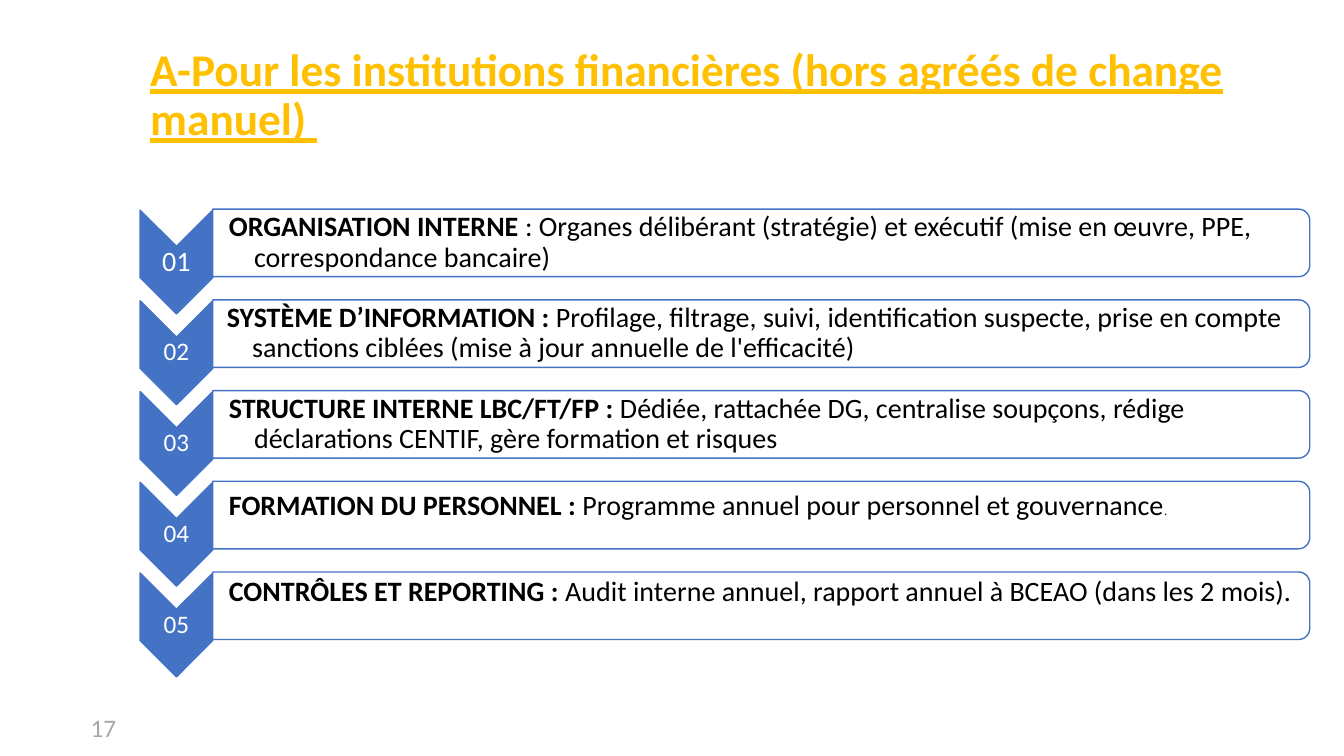
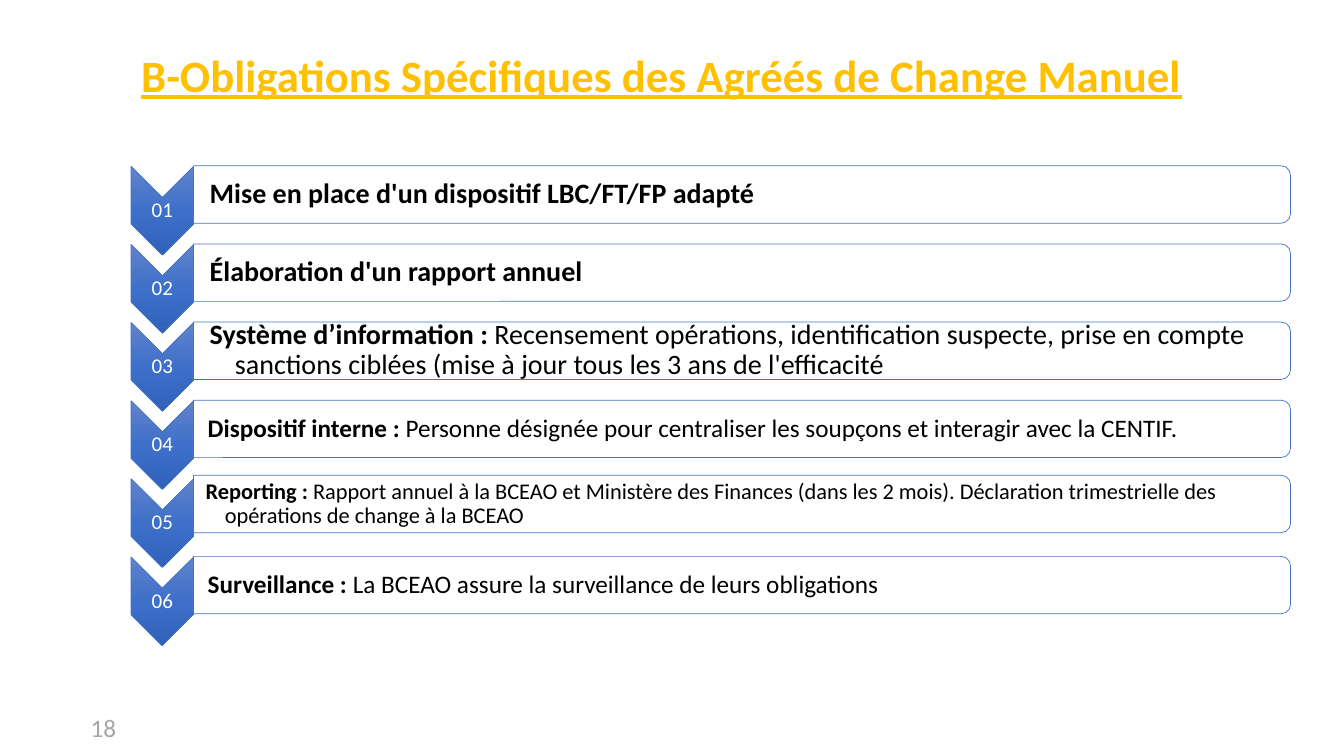
"""Build two slides of numbered duties for financial institutions and money changers."""
from lxml import etree
from pptx import Presentation
from pptx.dml.color import RGBColor
from pptx.enum.shapes import MSO_SHAPE
from pptx.enum.text import MSO_ANCHOR, MSO_AUTO_SIZE, PP_ALIGN
from pptx.oxml import parse_xml
from pptx.util import Inches, Pt

CHEVRON = MSO_SHAPE.CHEVRON
ROUND = MSO_SHAPE.ROUND_2_SAME_RECTANGLE
MIDDLE = MSO_ANCHOR.MIDDLE
LEFT, CENTER = PP_ALIGN.LEFT, PP_ALIGN.CENTER
FIXED = MSO_AUTO_SIZE.NONE

GOLD, BLUE, WHITE, BLACK, GREY = "FFC000", "4472C4", "FFFFFF", "000000", "A6A6A6"
FADE = ((0, "6183CB"), (50, "3E70CA"), (100, "3062BB"))
SPACE = "http://schemas.openxmlformats.org/drawingml/2006/main"
WIDE = 10.88
PAD = 0.01

DECK = [
    {
        "title": "A-Pour les institutions financières (hors agréés de change manuel) ",
        "size": 32.4, "place": (1.39, 0.62, 11.5, 0.68), "page": "17",
        "left": 1.39, "mid": 2.41, "step": 0.9, "drop": 0.19,
        "mark": (1.03, 0.72), "bar": 0.67, "line": 1, "fade": False,
        "nums": (20, 18, 18, 18, 18),
        "rows": [
            (("ORGANISATION INTERNE ", ": Organes délibérant (stratégie) et exécutif (mise en œuvre, PPE, correspondance bancaire)"), 20, 0.16, 0, 0),
            (("SYSTÈME D’INFORMATION :", " Profilage, filtrage, suivi, identification suspecte, prise en compte sanctions ciblées (mise à jour annuelle de l'efficacité)"), 20, 0.14, 0, 0),
            (("STRUCTURE INTERNE LBC/FT/FP :", " Dédiée, rattachée DG, centralise soupçons, rédige déclarations CENTIF, gère formation et risques"), 20, 0.16, 0, 0),
            (("FORMATION DU PERSONNEL :", " Programme annuel pour personnel et gouvernance", "."), 20, 0.16, 0.18, 0),
            (("CONTRÔLES ET REPORTING :", " Audit interne annuel, rapport annuel à BCEAO (dans les 2 mois)."), 20, 0.16, 0.27, 0),
        ],
    },
    {
        "title": "B-Obligations Spécifiques des Agréés de Change Manuel",
        "size": 32, "place": (1.3, 0.05, 11.5, 1.45), "page": "18",
        "left": 1.3, "mid": 1.93, "step": 0.775, "drop": 0.16,
        "mark": (0.88, 0.62), "bar": 0.57, "line": 0.5, "fade": True,
        "nums": (15,) * 6,
        "rows": [
            (("Mise en place d'un dispositif LBC/FT/FP adapté",), 20, 0.16, 0, 0),
            (("Élaboration d'un rapport annuel",), 20, 0.16, 0, 0),
            (("Système d’information :", " Recensement opérations, identification suspecte, prise en compte sanctions ciblées (mise à jour tous les 3 ans de l'efficacité"), 20, 0.16, 0, 0),
            (("Dispositif interne :", " Personne désignée pour centraliser les soupçons et interagir avec la CENTIF."), 18, 0.14, 0, 0),
            (("Reporting :", " Rapport annuel à la BCEAO et Ministère des Finances (dans les 2 mois). Déclaration trimestrielle des opérations de change à la BCEAO"), 16, 0.12, 0, -0.03),
            (("Surveillance :", " La BCEAO assure la surveillance de leurs obligations"), 18, 0.14, 0, 0),
        ],
    },
]


def rgb(code):
    """Turn a hex string into a colour."""
    return RGBColor.from_string(code)


def style(box, size, code, align=LEFT, pads=None):
    """Format the one paragraph of a box and return it."""
    frame = box.text_frame
    frame.word_wrap = True
    frame.auto_size = FIXED
    frame.vertical_anchor = MIDDLE
    if pads:
        frame.margin_left, frame.margin_top, frame.margin_right, frame.margin_bottom = map(Inches, pads)
    para = frame.paragraphs[0]
    para.alignment = align
    para.line_spacing = 0.9
    para.font.name = "Calibri"
    para.font.size = Pt(size)
    para.font.color.rgb = rgb(code)
    return para


prs = Presentation()
prs.slide_width, prs.slide_height = Inches(13.33), Inches(7.5)

for part in DECK:
    slide = prs.slides.add_slide(prs.slide_layouts[5])
    shapes = slide.shapes
    title = shapes.title
    title.left, title.top, title.width, title.height = map(Inches, part["place"])
    title.text = part["title"]
    font = style(title, part["size"], GOLD).font
    font.bold = font.underline = True

    tall, thick = part["mark"]
    high = part["bar"]
    edge = part["left"] + thick
    for row, (texts, size, inset, foot, shift) in enumerate(part["rows"]):
        mid = part["mid"] + row * part["step"]
        low = mid + part["drop"]
        level = mid + shift

        mark = shapes.add_shape(CHEVRON, Inches(part["left"] + (thick - tall) / 2),
                                Inches(low - thick / 2), Inches(tall), Inches(thick))
        bar = shapes.add_shape(ROUND, Inches(edge + (WIDE - high) / 2),
                               Inches(level - WIDE / 2), Inches(high), Inches(WIDE))
        for shape, code in ((mark, BLUE), (bar, WHITE)):
            shape.rotation = 90
            shape.shadow.inherit = False
            shape.fill.solid()
            shape.fill.fore_color.rgb = rgb(code)
            shape.line.color.rgb = rgb(BLUE)
            shape.line.width = Pt(part["line"])
        if part["fade"]:
            stops = "".join(f'<a:gs pos="{at * 1000}"><a:srgbClr val="{code}"/></a:gs>' for at, code in FADE)
            solid = mark.element.spPr.find(etree.QName(SPACE, "solidFill"))
            solid.getparent().replace(solid, parse_xml(
                f'<a:gradFill xmlns:a="{SPACE}" rotWithShape="0"><a:gsLst>{stops}</a:gsLst>'
                '<a:lin ang="5400000" scaled="0"/></a:gradFill>'))

        num = shapes.add_textbox(Inches(part["left"]), Inches(low - 0.15), Inches(thick), Inches(0.3))
        num.text_frame.text = f"{row + 1:02}"
        style(num, part["nums"][row], WHITE, CENTER, (PAD,) * 4)

        note = shapes.add_textbox(Inches(edge), Inches(level - 0.3), Inches(WIDE - 0.03), Inches(0.6))
        para = style(note, size, BLACK, LEFT, (inset, PAD, PAD, PAD + foot))
        hang = Inches(0.25 if size == 20 else 0.19)
        props = para._p.get_or_add_pPr()
        props.set("marL", str(hang))
        props.set("indent", str(-hang))
        for spot, text in enumerate(texts):
            run = para.add_run()
            run.text = text
            run.font.bold = spot == 0
            if spot == 2:
                run.font.size = Pt(9)

    page = shapes.add_textbox(Inches(0.8), Inches(7.05), Inches(0.58), Inches(0.38))
    page.text_frame.text = part["page"]
    style(page, 18, GREY)

prs.save("out.pptx")
